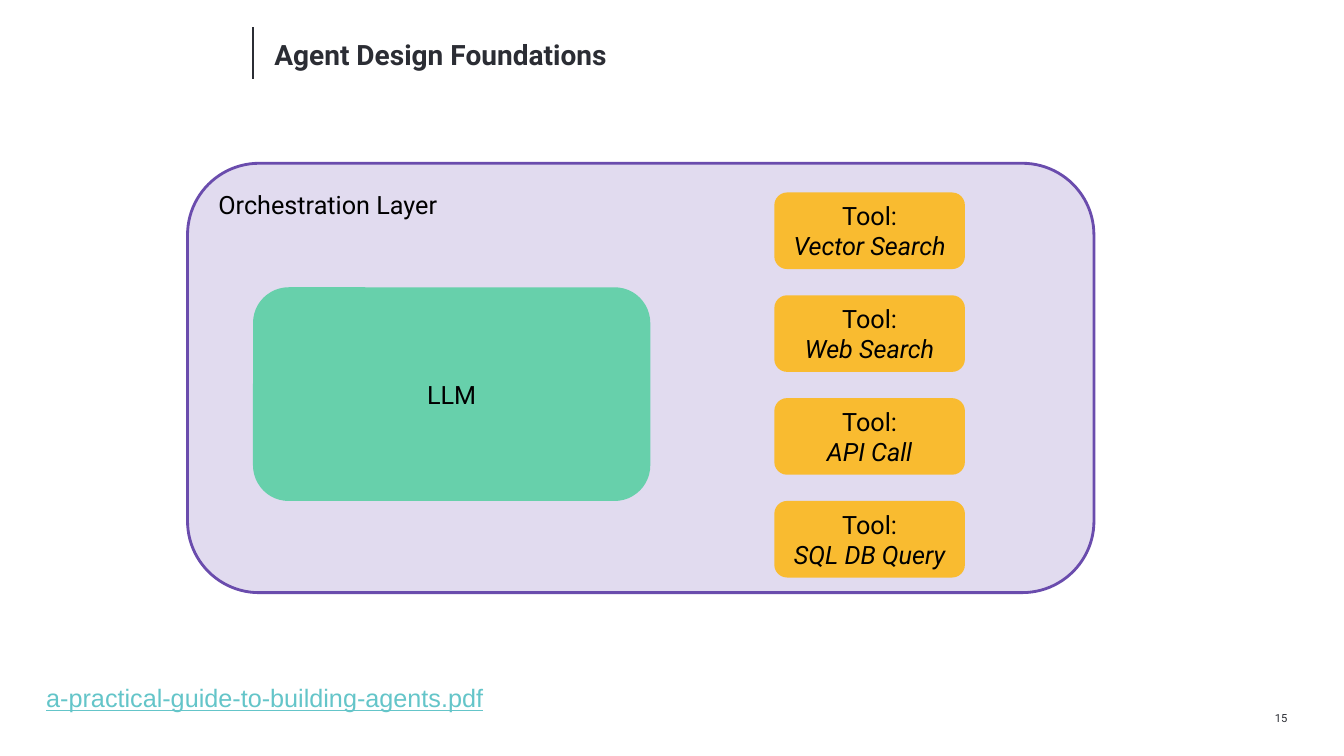
from pptx import Presentation
from pptx import util as u
from pptx.dml.color import RGBColor
from pptx.enum import shapes, text
from pptx.oxml.ns import qn
from lxml import etree

INK = "2B2D34"
BLACK = "000000"
TEAL = "64C5C9"
LILAC = "E1DBEF"
PURPLE = "6A4CAD"
GREEN = "67D0AB"
AMBER = "F9BB30"


def colour(value):
    return RGBColor.from_string(value)


class SlideBuilder:
    font = "Roboto"
    size = 18

    def __init__(self, slide):
        self.slide = slide

    def place(self, item, box):
        item.left, item.top, item.width, item.height = map(u.Inches, box)

    def fill_text(self, frame, lines, ink=BLACK, size=None, font=None,
                  align=text.PP_ALIGN.LEFT, anchor=text.MSO_ANCHOR.TOP, margin=None):
        frame.word_wrap = True
        frame.auto_size = text.MSO_AUTO_SIZE.NONE
        frame.vertical_anchor = anchor
        if margin is not None:
            frame.margin_left = frame.margin_right = u.Inches(margin)
            frame.margin_top = frame.margin_bottom = u.Inches(margin)
        frame.text = "\n".join(lines)
        for paragraph in frame.paragraphs:
            paragraph.alignment = align
            paragraph.font.name = font or self.font
            paragraph.font.size = u.Pt(size or self.size)
            paragraph.font.color.rgb = colour(ink)
        return frame.paragraphs

    def title(self, wording, box):
        heading = self.slide.shapes.title
        self.place(heading, box)
        line, = self.fill_text(heading.text_frame, [wording], INK, 20,
                               anchor=text.MSO_ANCHOR.MIDDLE, margin=0)
        line.font.bold = True
        line.line_spacing = u.Pt(20)

    def label(self, wording, box, **style):
        textbox = self.slide.shapes.add_textbox(*map(u.Inches, box))
        return self.fill_text(textbox.text_frame, [wording], **style)[0]

    def rule(self, start, end):
        bar = self.slide.shapes.add_connector(
            shapes.MSO_CONNECTOR.STRAIGHT, *map(u.Inches, start + end))
        bar.line.color.rgb = colour(INK)
        bar.line.width = u.Pt(1)
        etree.SubElement(bar._element.spPr, qn("a:effectLst"))

    def group(self):
        return self.slide.shapes.add_group_shape()

    def panel(self, group, box, fill, lines, outline=None, **style):
        block = group.shapes.add_shape(
            shapes.MSO_SHAPE.ROUNDED_RECTANGLE, *map(u.Inches, box))
        block.shadow.inherit = False
        block.fill.solid()
        block.fill.fore_color.rgb = colour(fill)
        if outline:
            block.line.color.rgb = colour(outline)
            block.line.width = u.Pt(2)
        else:
            block.line.fill.background()
        return self.fill_text(block.text_frame, lines, **style)


def main():
    deck = Presentation()
    deck.slide_width = u.Inches(13.33)
    deck.slide_height = u.Inches(7.5)
    page = SlideBuilder(deck.slides.add_slide(deck.slide_layouts[5]))

    page.rule((2.51, 0.27), (2.51, 0.78))
    page.title("Agent Design Foundations", (2.72, 0.24, 10.3, 0.65))
    page.label("15", (12.49, 7.06, 0.28, 0.13), ink=INK, size=8,
               align=text.PP_ALIGN.RIGHT, margin=0)
    source = page.label("a-practical-guide-to-building-agents.pdf",
                        (0.36, 6.72, 4.82, 0.4), ink=TEAL, font="Arial")
    source.font.underline = True

    agent = page.group()
    centred = {"align": text.PP_ALIGN.CENTER, "anchor": text.MSO_ANCHOR.MIDDLE}
    page.panel(agent, (1.86, 1.62, 8.99, 4.26), LILAC, ["Orchestration Layer"], PURPLE)
    page.panel(agent, (2.51, 2.85, 3.94, 2.12), GREEN, ["LLM"], **centred)
    tools = ["Vector Search", "Web Search", "API Call", "SQL DB Query"]
    for row, tool in enumerate(tools):
        box = (7.68, 1.91 + 1.02 * row, 1.89, 0.76)
        kind, name = page.panel(agent, box, AMBER, ["Tool:", tool], **centred)
        name.font.italic = True

    deck.save("out.pptx")


if __name__ == "__main__":
    main()
